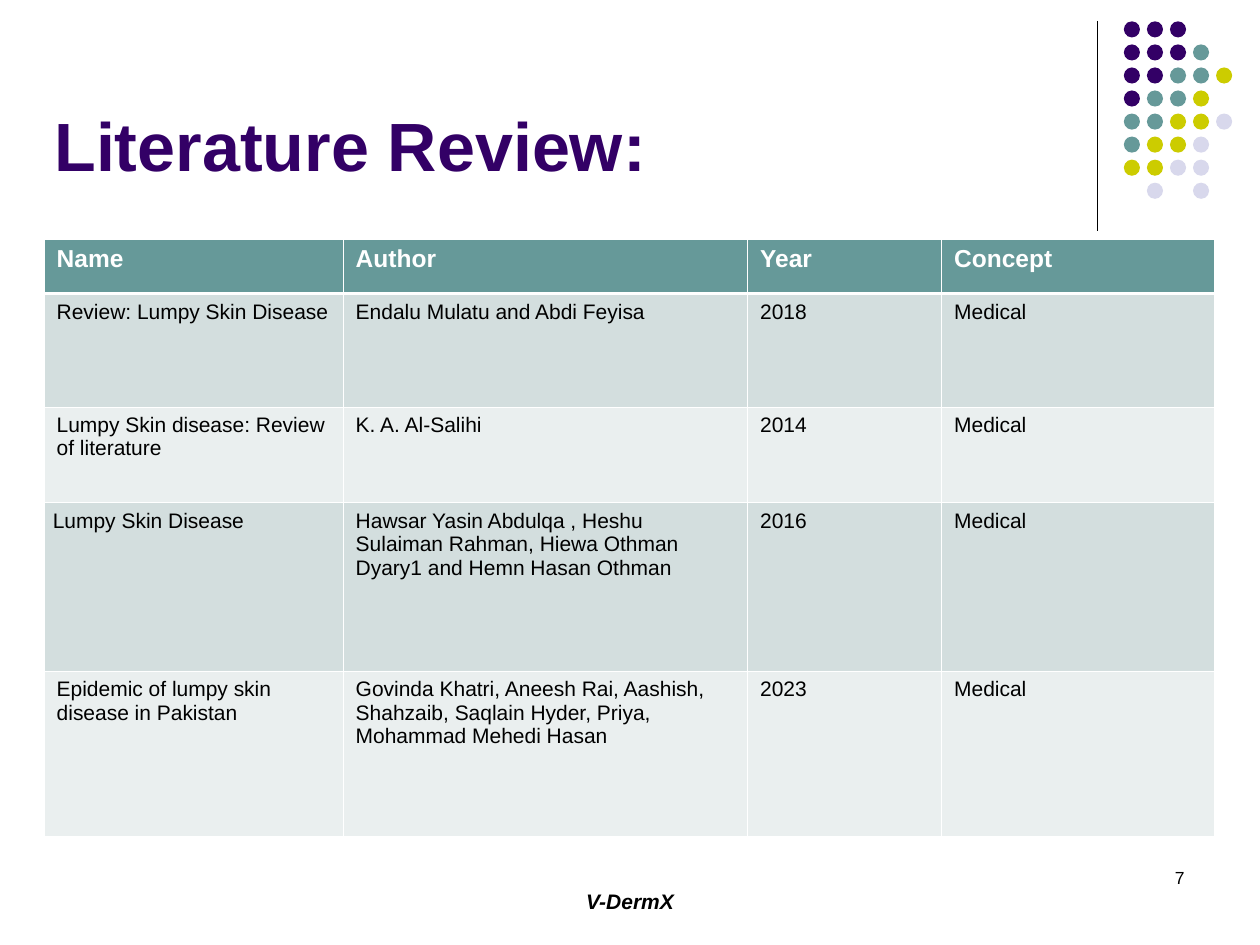
from lxml import etree
from pptx import Presentation
from pptx import util as u
from pptx.dml.color import RGBColor
from pptx.enum import shapes, text
from pptx.oxml.ns import qn

COLORS = {
    "purple": "330066", "teal": "669999", "olive": "CCCC00", "lilac": "D8D8EC",
    "band_dark": "D3DEDE", "band_light": "EAEFEF", "white": "FFFFFF", "black": "000000",
}
DOT_COLORS = {"P": "purple", "T": "teal", "O": "olive", "L": "lilac"}
DOT_ROWS = ["PPP", "PPPT", "PPTTO", "PTTO", "TTOOL", "TOOL", "OOLL", " L L"]

ROWS = [
    ["Name", "Author", "Year", "Concept"],
    ["Review: Lumpy Skin Disease", "Endalu Mulatu and Abdi Feyisa", "2018", "Medical"],
    ["Lumpy Skin disease: Review of literature", "K. A. Al-Salihi", "2014", "Medical"],
    ["Lumpy Skin Disease",
     "Hawsar Yasin Abdulqa , Heshu Sulaiman Rahman, Hiewa Othman Dyary1 and Hemn Hasan Othman",
     "2016", "Medical"],
    ["Epidemic of lumpy skin disease in Pakistan",
     "Govinda Khatri, Aneesh Rai, Aashish, Shahzaib, Saqlain Hyder, Priya, Mohammad Mehedi Hasan",
     "2023", "Medical"],
]
COL_WIDTHS = [170.9, 231.1, 110.9, 156]
ROW_HEIGHTS = [31, 64.8, 54.7, 96.5, 94.3]


class Deck:
    """Hold the shared style and the current slide."""

    font = "Arial"

    def __init__(self, slide):
        self.s = slide

    def color(self, name):
        return RGBColor.from_string(COLORS[name])

    def format(self, tf, size, color, bold=False, italic=False):
        for p in tf.paragraphs:
            for r in p.runs:
                r.font.name, r.font.size = self.font, u.Pt(size)
                r.font.bold, r.font.italic = bold, italic
                r.font.color.rgb = self.color(color)

    def text(self, words, box, size, color, align="LEFT", anchor="TOP", **style):
        tf = self.s.shapes.add_textbox(*map(u.Pt, box)).text_frame
        tf.word_wrap = True
        tf.vertical_anchor = text.MSO_ANCHOR[anchor]
        tf.text = words
        tf.paragraphs[0].alignment = text.PP_ALIGN[align]
        self.format(tf, size, color, **style)

    def line(self, x1, y1, x2, y2, color, width):
        sp = self.s.shapes.add_connector(
            shapes.MSO_CONNECTOR.STRAIGHT, *map(u.Pt, (x1, y1, x2, y2)))
        sp.line.color.rgb = self.color(color)
        sp.line.width = u.Pt(width)
        etree.SubElement(sp._element.spPr, qn("a:effectLst"))

    def dot(self, x, y, size, color):
        sp = self.s.shapes.add_shape(
            shapes.MSO_SHAPE.OVAL, *map(u.Pt, (x, y, size, size)))
        sp.shadow.inherit = False
        sp.fill.solid()
        sp.fill.fore_color.rgb = self.color(color)
        sp.line.fill.background()

    def dots(self, x, y, pitch, size):
        for i, row in enumerate(DOT_ROWS):
            for j, key in enumerate(row):
                if key in DOT_COLORS:
                    self.dot(x + j * pitch, y + i * pitch, size, DOT_COLORS[key])

    def border(self, cell, side, width):
        ln = etree.SubElement(
            cell._tc.get_or_add_tcPr(), qn("a:ln" + side), w=str(u.Pt(width)))
        fill = etree.SubElement(ln, qn("a:solidFill"))
        etree.SubElement(fill, qn("a:srgbClr"), val=COLORS["white"])

    def cell(self, cell, words, row):
        header = row == 0
        cell.text = words
        self.format(cell.text_frame, 14 if header else 12,
                    "white" if header else "black", bold=header)
        thick = {0: "B", 1: "T"}.get(row)
        for side in "LRTB":
            self.border(cell, side, 1.47 if side == thick else 0.45)
        cell.fill.solid()
        band = "band_dark" if row % 2 else "band_light"
        cell.fill.fore_color.rgb = self.color("teal" if header else band)

    def table(self, x, y, widths, heights, rows):
        box = map(u.Pt, (x, y, sum(widths), sum(heights)))
        table = self.s.shapes.add_table(len(rows), len(widths), *box).table
        for col, width in zip(table.columns, widths):
            col.width = u.Pt(width)
        for i, (height, row) in enumerate(zip(heights, rows)):
            table.rows[i].height = u.Pt(height)
            for j, words in enumerate(row):
                self.cell(table.cell(i, j), words, i)
        return table


def main():
    prs = Presentation()
    prs.slide_width, prs.slide_height = u.Pt(720), u.Pt(540)
    deck = Deck(prs.slides.add_slide(prs.slide_layouts[6]))
    deck.line(627, 12, 627, 132, "black", 0.75)
    deck.dots(642.2, 12.2, 13.17, 9.2)
    deck.text("V-DermX", (228, 504, 264, 24), 12, "black", "CENTER", bold=True, italic=True)
    deck.text("7", (516, 492, 168, 36), 10, "black", "RIGHT")
    deck.text("Literature Review:", (24, 7.2, 594, 102), 39, "purple",
              anchor="BOTTOM", bold=True)
    table = deck.table(25.2, 136.8, COL_WIDTHS, ROW_HEIGHTS, ROWS)
    inset = table.cell(3, 0)
    inset.margin_left = inset.margin_right = u.Pt(5)
    prs.save("out.pptx")


if __name__ == "__main__":
    main()
